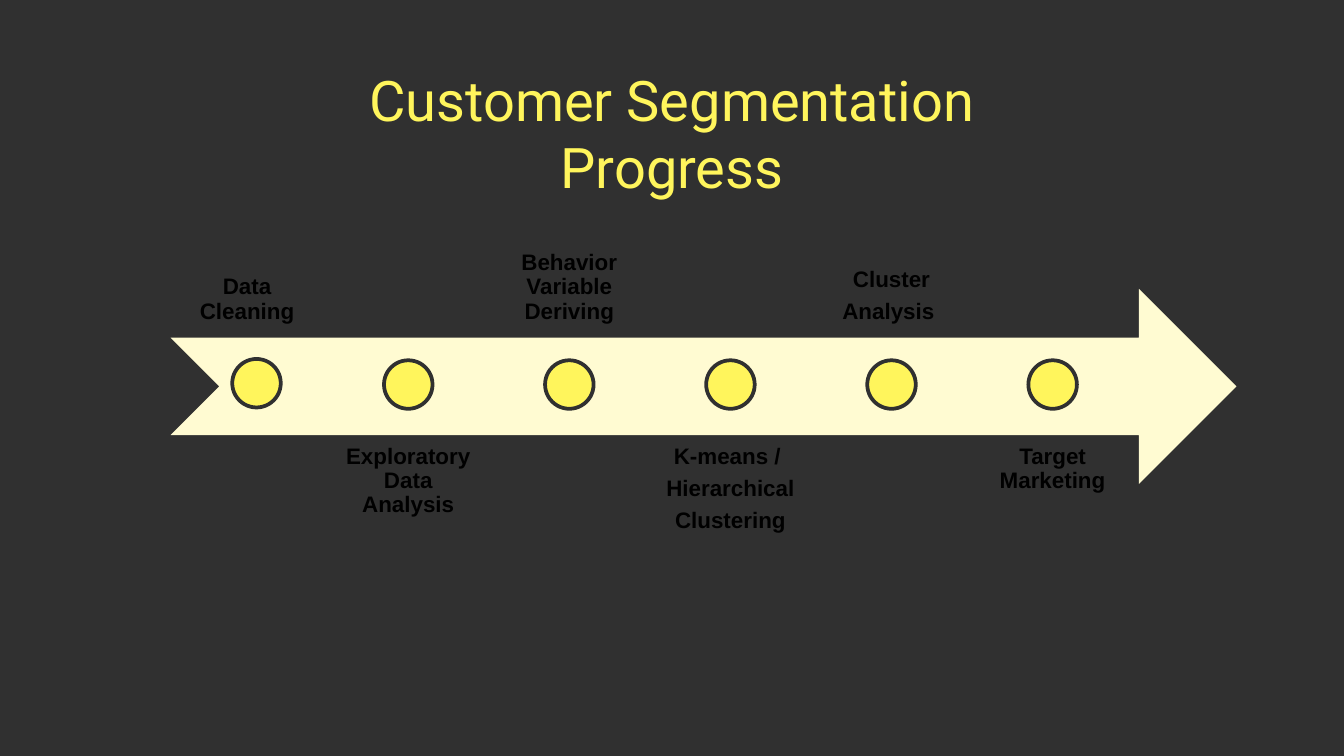
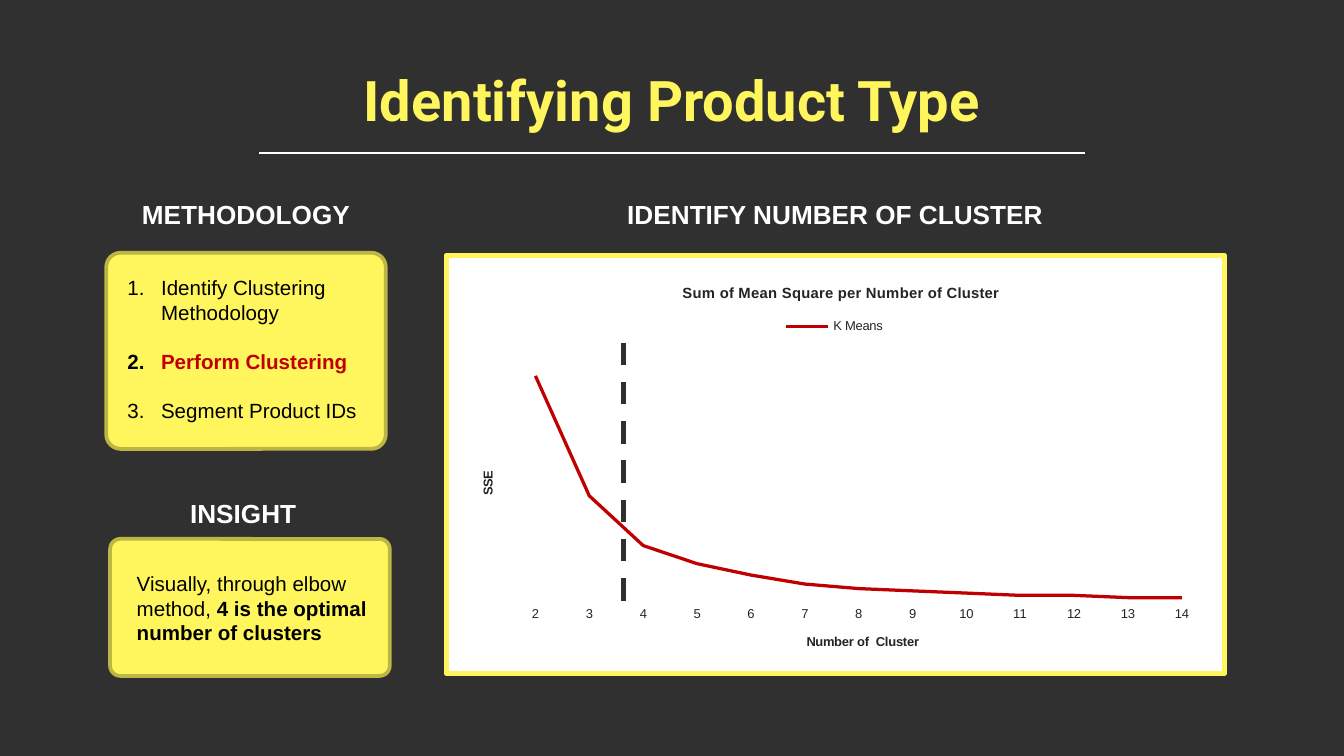
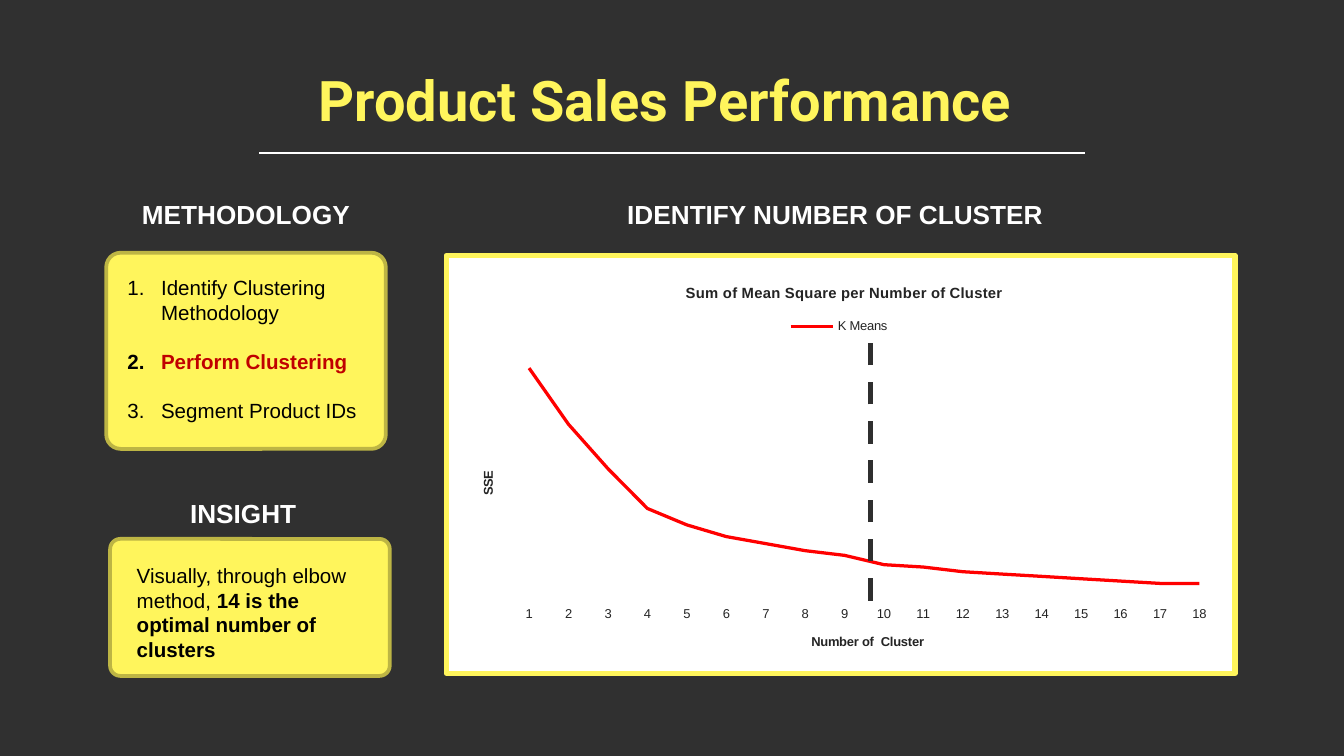
from lxml.etree import SubElement
from pptx import Presentation
from pptx.chart.data import CategoryChartData
from pptx.dml.color import RGBColor
from pptx.enum.chart import XL_CHART_TYPE, XL_LEGEND_POSITION, XL_TICK_MARK
from pptx.enum.dml import MSO_LINE
from pptx.enum.shapes import MSO_CONNECTOR, MSO_SHAPE
from pptx.enum.text import MSO_ANCHOR, MSO_AUTO_SIZE, PP_ALIGN
from pptx.oxml import parse_xml
from pptx.oxml.ns import nsdecls, qn
from pptx.util import Pt

# Each step: paragraphs of its label, and the shift of its dot
STEPS = [
    (["Data Cleaning"], (5, -0.7)),
    (["Exploratory Data Analysis"], (0, 0)),
    (["Behavior Variable Deriving"], (0, 0)),
    (["K-means / ", "Hierarchical", "Clustering"], (0, 0)),
    (["Cluster", "Analysis "], (0, 0)),
    (["Target Marketing"], (0, 0)),
]
METHOD = ["Identify Clustering Methodology", "Perform Clustering",
          "Segment Product IDs"]
ACTIVE = 1
ELBOWS = [
    dict(title="Identifying Product Type", best="4 is the optimal number of clusters",
         top=302.4, first=2, vals=[100, 47, 25, 17, 12, 8, 6, 5, 4, 3, 3, 2, 2],
         peak=120, color="C00000", width=419.8, cut=334),
    dict(title="Product Sales Performance ", best="14 is the optimal number of clusters",
         top=298, first=1,
         vals=[100, 76, 57, 40, 33, 28, 25, 22, 20, 16, 15, 13, 12, 11, 10, 9, 8, 8],
         peak=116, color="FF0000", width=425.5, cut=466.4),
]


class Theme:
    back, gold, cream, rim = "303030", "FFF55C", "FFFBD2", "BDB544"
    white, black, red, ink, dash = "FFFFFF", "000000", "C00000", "242424", "2F2F2F"
    head, body = "Roboto", "Arial"
    title, sub, label, text, chart, small = 30, 14, 12, 11, 8, 7


def rgb(code):
    return RGBColor.from_string(code)


def style(font, size, color, bold=False, name=Theme.body):
    font.size, font.bold, font.name = Pt(size), bold, name
    font.color.rgb = rgb(color)


def add_run(para, text, *look, **more):
    run = para.add_run()
    run.text = text
    style(run.font, *look, **more)


def add_box(shapes, box, paras, align=PP_ALIGN.LEFT, anchor=MSO_ANCHOR.TOP,
            inset=(7.2, 3.6), grow=False):
    """Add a text box; each paragraph is a list of runs (text, size, color, bold, font)."""
    frame = shapes.add_textbox(*map(Pt, box)).text_frame
    frame.word_wrap = True
    frame.auto_size = MSO_AUTO_SIZE.SHAPE_TO_FIT_TEXT if grow else MSO_AUTO_SIZE.NONE
    frame.vertical_anchor = anchor
    frame.margin_left = frame.margin_right = Pt(inset[0])
    frame.margin_top = frame.margin_bottom = Pt(inset[1])
    for i, runs in enumerate(paras):
        para = frame.add_paragraph() if i else frame.paragraphs[0]
        para.alignment = align
        for run in runs:
            add_run(para, *run)
    return frame


def add_form(shapes, kind, box, fill, line=None):
    form = shapes.add_shape(kind, *map(Pt, box))
    form.shadow.inherit = False
    form.fill.solid()
    form.fill.fore_color.rgb = rgb(fill)
    if line:
        form.line.color.rgb, form.line.width = rgb(line), Pt(2)
    else:
        form.line.fill.background()
    return form


def add_line(slide, ends, color, width):
    line = slide.shapes.add_connector(MSO_CONNECTOR.STRAIGHT, *map(Pt, ends))
    line.line.color.rgb, line.line.width = rgb(color), Pt(width)
    SubElement(line._element.spPr, qn("a:effectLst"))
    return line


def add_slide(deck, title, bold):
    slide = deck.slides.add_slide(deck.slide_layouts[6])
    slide.background.fill.solid()
    slide.background.fill.fore_color.rgb = rgb(Theme.back)
    add_box(slide.shapes, (130.3, 28, 459.4, 60),
            [[(title, Theme.title, Theme.gold, bold, Theme.head)]],
            PP_ALIGN.CENTER, inset=(7.2, 7.2))
    return slide


def add_steps(deck):
    slide = add_slide(deck, "Customer Segmentation Progress", False)
    shapes = slide.shapes.add_group_shape().shapes
    left, step, wide, tall, dot = 91.4, 86.3, 82, 104.4, 26
    mid = 206
    add_form(shapes, MSO_SHAPE.NOTCHED_RIGHT_ARROW, (left, 154.8, 571, tall), Theme.cream)
    for i, (lines, (dx, dy)) in enumerate(STEPS):
        x, below = left + i * step, i % 2
        frame = add_box(shapes, (x, 231.8 if below else 75.6, wide, tall),
                        [[(line, Theme.label, Theme.black, True)] for line in lines],
                        PP_ALIGN.CENTER, MSO_ANCHOR.TOP if below else MSO_ANCHOR.BOTTOM,
                        (6.5, 6.5))
        for para in frame.paragraphs:
            para.line_spacing, para.space_after = 0.9, Pt(4.2)
        add_form(shapes, MSO_SHAPE.OVAL,
                 (x + (wide - dot) / 2 + dx, mid - dot / 2 + dy, dot, dot),
                 Theme.gold, Theme.back)


def add_card(slide, box):
    add_form(slide.shapes, MSO_SHAPE.ROUNDED_RECTANGLE, box,
             Theme.gold, Theme.rim).adjustments[0] = 0.074


def add_sub(slide, text, x, y, wide):
    add_box(slide.shapes, (x, y, wide, 24.5), [[(text, Theme.sub, Theme.white, True)]],
            PP_ALIGN.CENTER, grow=True)


def number(para):
    props = para._p.get_or_add_pPr()
    props.set("marL", str(Pt(18)))
    props.set("indent", str(-Pt(18)))
    color = SubElement(props, qn("a:buClr"))
    SubElement(color, qn("a:srgbClr"), val=Theme.black)
    SubElement(props, qn("a:buAutoNum"), type="arabicPeriod")


def place(part, **spots):
    """Fix a chart part at fractions of the chart's size."""
    for old in part.findall(qn("c:layout")):
        part.remove(old)
    layout = parse_xml(f"<c:layout {nsdecls('c')}><c:manualLayout/></c:layout>")
    if part.tag == qn("c:plotArea"):
        SubElement(layout[0], qn("c:layoutTarget"), val="inner")
    for key in ("xMode", "yMode"):
        SubElement(layout[0], qn("c:" + key), val="edge")
    for key, spot in spots.items():
        SubElement(layout[0], qn("c:" + key), val=str(spot))
    lead = part.find(qn("c:tx"))
    if lead is None:
        lead = part.find(qn("c:legendPos"))
    if lead is None:
        part.insert(0, layout)
    else:
        lead.addnext(layout)


def caption(title, text, size, x, y):
    add_run(title.text_frame.paragraphs[0], text, size, Theme.ink, True)
    place(title.element, x=x, y=y)


def add_elbow(slide, vals, first, peak, color, width):
    data = CategoryChartData()
    data.categories = [str(first + i) for i in range(len(vals))]
    data.add_series("K Means", vals)
    chart = slide.shapes.add_chart(XL_CHART_TYPE.LINE, Pt(237.6), Pt(135.4),
                                   Pt(width), Pt(226.8), data).chart
    style(chart.font, Theme.small, Theme.white)
    chart.element.find(qn("c:chart")).addnext(parse_xml(
        f"<c:spPr {nsdecls('c', 'a')}>"
        f'<a:solidFill><a:srgbClr val="{Theme.white}"/></a:solidFill>'
        f'<a:ln w="{Pt(3)}"><a:solidFill><a:srgbClr val="{Theme.gold}"/></a:solidFill>'
        "<a:round/></a:ln></c:spPr>"))

    plot = chart.plots[0]
    plot.vary_by_categories = False
    line = plot.series[0]
    line.smooth = False
    line.format.line.color.rgb, line.format.line.width = rgb(color), Pt(1.75)

    cats, sums = chart.category_axis, chart.value_axis
    cats.major_tick_mark = cats.minor_tick_mark = XL_TICK_MARK.NONE
    cats.format.line.fill.background()
    style(cats.tick_labels.font, Theme.small, Theme.ink)
    sums.minimum_scale, sums.maximum_scale = 0, peak
    sums.has_major_gridlines = sums.visible = False

    chart.has_title = chart.has_legend = True
    chart.legend.position = XL_LEGEND_POSITION.TOP
    chart.legend.include_in_layout = False
    style(chart.legend.font, Theme.small, Theme.ink)
    caption(chart.chart_title, "Sum of Mean Square per Number of Cluster",
            Theme.chart, 0.3, 0.06)
    caption(cats.axis_title, "Number of  Cluster", Theme.small, 0.46, 0.9)
    caption(sums.axis_title, "SSE", Theme.small, 0.04, 0.51)
    next(sums.axis_title.element.iter(qn("a:bodyPr"))).set("rot", "-5400000")
    place(next(chart.element.iter(qn("c:legend"))), x=0.43, y=0.14)
    place(next(chart.element.iter(qn("c:plotArea"))), x=0.08, y=0.18, w=0.9, h=0.65)


def add_study(deck, title, best, top, cut, **curve):
    slide = add_slide(deck, title, True)
    add_line(slide, (139, 82, 581, 82), Theme.white, 0.75)

    add_card(slide, (56.9, 135.4, 149.8, 105.1))
    add_sub(slide, "METHODOLOGY", 56.9, 103, 149.8)
    items = [[(text, Theme.text, Theme.red if i == ACTIVE else Theme.black, i == ACTIVE)]
             for i, text in enumerate(METHOD)]
    frame = add_box(slide.shapes, (61.2, 144, 144.7, 87), items, grow=True)
    for i, para in enumerate(frame.paragraphs):
        number(para)
        if i:
            para.space_before = Pt(13.1)

    add_sub(slide, "IDENTIFY NUMBER OF CLUSTER", 231.8, 103, 431.3)
    add_elbow(slide, **curve)

    add_sub(slide, "INSIGHT", 55.4, 262.8, 149.8)
    add_card(slide, (59, 288.7, 149.8, 73.4))
    add_box(slide.shapes, (66.2, top, 139, 2 * (326.5 - top)),
            [[("Visually, through elbow method, ", Theme.text, Theme.black),
              (best, Theme.text, Theme.black, True)]], grow=True)
    add_line(slide, (cut, 321.8, cut, 182.2), Theme.dash, 3).line.dash_style = MSO_LINE.DASH


def main():
    deck = Presentation()
    deck.slide_width, deck.slide_height = Pt(720), Pt(405)
    add_steps(deck)
    for study in ELBOWS:
        add_study(deck, **study)
    deck.save("out.pptx")


if __name__ == "__main__":
    main()
